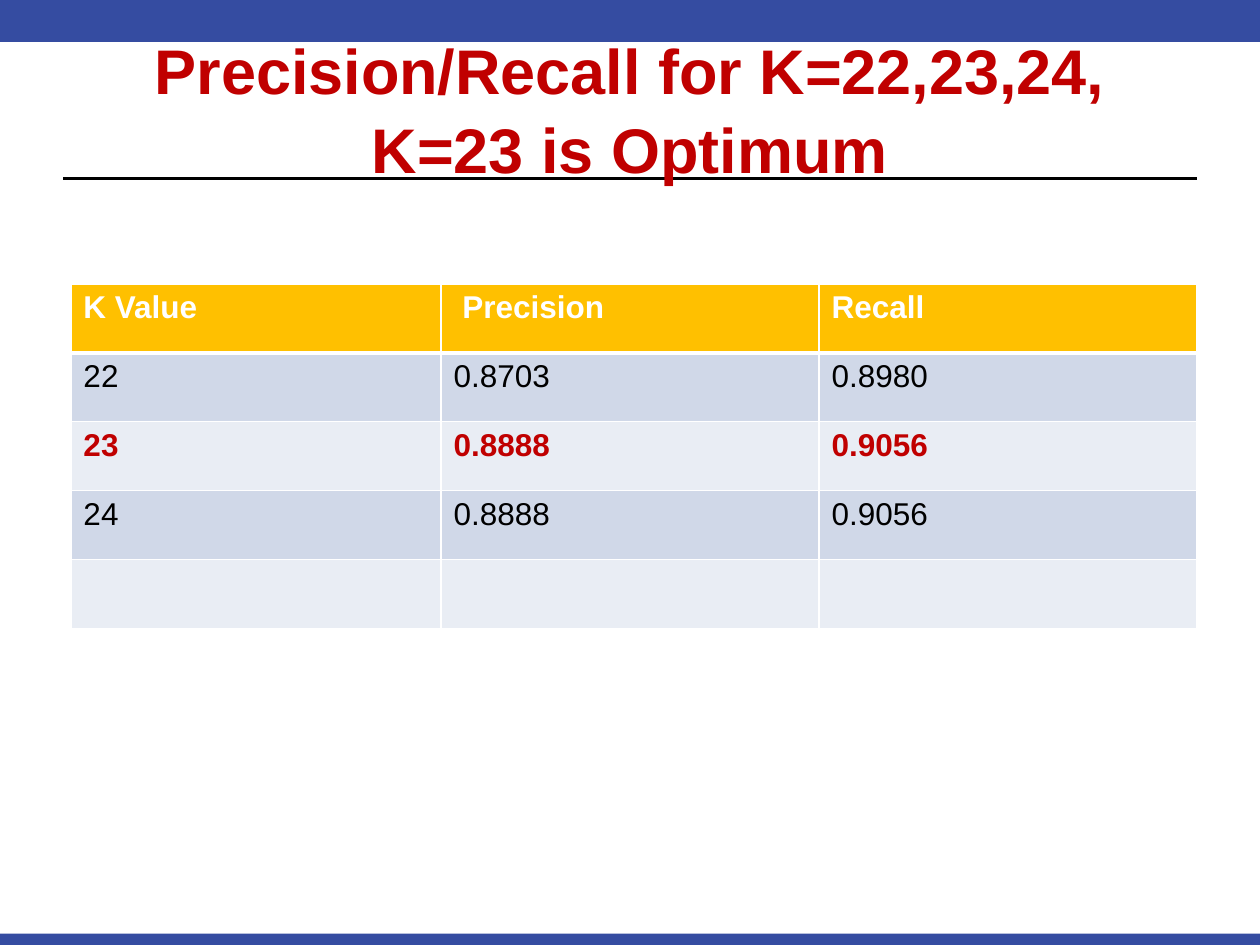
import pptx
import pptx.dml.color
import pptx.enum.shapes
import pptx.enum.text
import pptx.oxml
import pptx.oxml.ns
import pptx.util

Pt = pptx.util.Pt
COLORS = {
    "bar": "354CA1", "rule": "000000", "accent": "C00000", "header": "FFC000",
    "band_dark": "D0D8E8", "band_light": "E9EDF4", "white": "FFFFFF", "text": "000000",
}
ROWS = [
    ("K Value", " Precision", "Recall"),
    ("22", "0.8703", "0.8980"),
    ("23", "0.8888", "0.9056"),
    ("24", "0.8888", "0.9056"),
    ("", "", ""),
]
OPTIMUM_ROW = 2


def rgb(name):
    """Return the named colour."""
    return pptx.dml.color.RGBColor.from_string(COLORS[name])


def style_font(paragraph, size, color, bold):
    """Apply the type format to a paragraph and its runs."""
    values = {"name": "Arial", "size": Pt(size), "bold": bold}
    for target in (paragraph, *paragraph.runs):
        for attribute, value in values.items():
            setattr(target.font, attribute, value)
        target.font.color.rgb = rgb(color)


def add_bar(slide, left, top, width, height):
    """Add a plain coloured bar."""
    shape = slide.shapes.add_shape(
        pptx.enum.shapes.MSO_SHAPE.RECTANGLE, Pt(left), Pt(top), Pt(width), Pt(height))
    shape.shadow.inherit = False
    shape.fill.solid()
    shape.fill.fore_color.rgb = rgb("bar")
    shape.line.fill.background()


def add_rule(slide, left, top, width):
    """Add the horizontal rule under the title."""
    connector = slide.shapes.add_connector(
        pptx.enum.shapes.MSO_CONNECTOR.STRAIGHT, Pt(left), Pt(top), Pt(left + width), Pt(top))
    connector.line.color.rgb = rgb("rule")
    connector.line.width = Pt(1.25)
    properties = connector._element.spPr
    properties.append(pptx.oxml.parse_xml(
        f"<a:effectLst {pptx.oxml.ns.nsdecls('a')}/>"))


def add_title(slide, left, top, width, height):
    """Add the centred title."""
    box = slide.shapes.add_textbox(Pt(left), Pt(top), Pt(width), Pt(height))
    frame = box.text_frame
    values = {"word_wrap": True, "margin_top": Pt(7),
              "vertical_anchor": pptx.enum.text.MSO_ANCHOR.MIDDLE}
    for attribute, value in values.items():
        setattr(frame, attribute, value)
    paragraph = frame.paragraphs[0]
    paragraph.text = "Precision/Recall for K=22,23,24, K=23 is Optimum"
    paragraph.alignment = pptx.enum.text.PP_ALIGN.CENTER
    paragraph.line_spacing = 1.04
    style_font(paragraph, 36, "accent", True)


def set_borders(cell, widths):
    """Draw white cell borders of the given widths ahead of the fill."""
    properties = cell._tc.get_or_add_tcPr()
    for index, (side, width) in enumerate(widths.items()):
        properties.insert(index, pptx.oxml.parse_xml(
            f'<a:{side} {pptx.oxml.ns.nsdecls("a")} w="{Pt(width)}"><a:solidFill>'
            f'<a:srgbClr val="{COLORS["white"]}"/></a:solidFill></a:{side}>'))


def row_format(row):
    """Return the fill, text colour and weight of a row."""
    if row == 0:
        return "header", "white", True
    fill = "band_dark" if row % 2 else "band_light"
    optimum = row == OPTIMUM_ROW
    return fill, "accent" if optimum else "text", optimum


def add_results_table(slide, left, top, width, height):
    """Add the precision and recall table."""
    table = slide.shapes.add_table(
        len(ROWS), len(ROWS[0]), Pt(left), Pt(top), Pt(width), Pt(height)).table
    value_width = 216
    for index, column in enumerate(table.columns):
        column.width = Pt(value_width if index else width - 2 * value_width)
    for row, texts in enumerate(ROWS):
        table.rows[row].height = Pt(height / len(ROWS))
        fill, color, bold = row_format(row)
        widths = {"lnL": 1, "lnR": 1, "lnT": 3 if row == 1 else 1, "lnB": 1 if row else 3}
        for column, text in enumerate(texts):
            cell = table.cell(row, column)
            cell.fill.solid()
            cell.fill.fore_color.rgb = rgb(fill)
            set_borders(cell, widths)
            paragraph = cell.text_frame.paragraphs[0]
            if text:
                paragraph.text = text
            style_font(paragraph, 18, color, bold)


def main():
    """Build and save the slide."""
    presentation = pptx.Presentation()
    presentation.slide_width, presentation.slide_height = Pt(720), Pt(540)
    slide = presentation.slides.add_slide(presentation.slide_layouts[6])
    add_bar(slide, 0, 533.5, 720, 6.5)
    add_bar(slide, 0, 0, 720, 24)
    add_rule(slide, 36, 102, 648)
    add_title(slide, 36, 18, 648, 83)
    add_results_table(slide, 40.5, 162.25, 643.5, 197)
    presentation.save("out.pptx")


if __name__ == "__main__":
    main()
